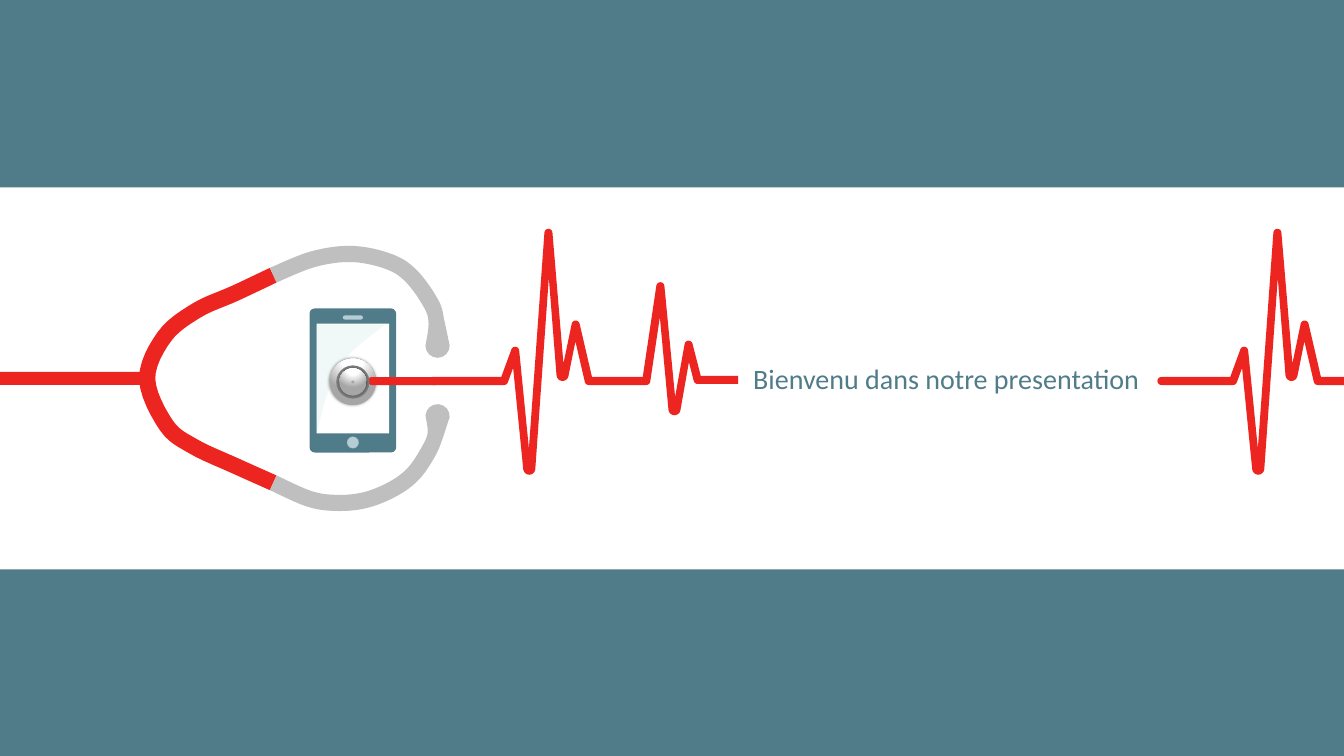
from itertools import pairwise
from math import atan2, ceil, cos, pi, remainder, sin, tau
from lxml import etree
from pptx import Presentation
from pptx.dml.color import RGBColor
from pptx.enum.shapes import MSO_SHAPE as SHAPE
from pptx.enum.text import MSO_ANCHOR, MSO_AUTO_SIZE, PP_ALIGN
from pptx.oxml import parse_xml
from pptx.oxml.ns import nsdecls, qn
from pptx.util import Inches, Pt

TEAL = RGBColor(0x50, 0x7C, 0x89)
PALE_TEAL = RGBColor(0xB5, 0xCD, 0xD4)
MID_TEAL = RGBColor(0x90, 0xB4, 0xBE)
MINT = RGBColor(0xBC, 0xE7, 0xDC)
RED = RGBColor(0xED, 0x25, 0x21)
SILVER = RGBColor(0xBF, 0xBF, 0xBF)
GREY = RGBColor(0x80, 0x80, 0x80)
LIGHT_GREY = RGBColor(0xA6, 0xA6, 0xA6)
WHITE = RGBColor(0xFF, 0xFF, 0xFF)

WELCOME = "Bienvenu dans notre presentation"
SLIDE_WIDTH, SLIDE_HEIGHT = 13.33, 7.5
BAND_HEIGHT = 1.86
BAND_TOPS = (0, 5.65)

BASELINE = 3.78
TRACE = 0.08
THIN = TRACE / 2
BLUNT = 0.06
BEAT_SHIFT = 7.23
TRACE_START = (4.29, BASELINE, THIN)
TALL_BEAT = [(5, BASELINE, THIN), (5.11, 3.48, THIN), (5.25, 4.65, BLUNT), (5.44, 2.31, THIN),
             (5.58, 3.72, BLUNT), (5.71, 3.22, THIN), (5.84, BASELINE, THIN)]
SHORT_BEAT = [(6.41, BASELINE, THIN), (6.55, 2.84, THIN), (6.69, 4.06, BLUNT),
              (6.83, 3.42, THIN), (6.92, 3.77, THIN)]
TRACE_END = (7.32, 3.77, THIN)
SECOND_TRACE_END = (13.35, BASELINE, THIN)
CORD = [(3.76, BASELINE, THIN), (4.32, BASELINE, THIN)]
CORD_END = [(3.69, BASELINE, THIN), (3.75, BASELINE, THIN)]

TUBE = 0.08
EAR_TIP = 0.12
UPPER_JOINT = (2.71, 2.73, TUBE)
LOWER_JOINT = (2.71, 4.79, TUBE)
RED_TUBE = [UPPER_JOINT, (2.33, 2.91, TUBE), (1.95, 3.08, TUBE), (1.63, 3.34, TUBE),
            (1.46, 3.76, TUBE), (1.65, 4.22, TUBE), (1.92, 4.43, TUBE), (2.33, 4.62, TUBE),
            LOWER_JOINT]
UPPER_EARPIECE = [(4.34, 3.43, EAR_TIP), (4.33, 3.2, TUBE), (4.28, 3.02, TUBE),
                  (4.09, 2.75, TUBE), (3.87, 2.6, TUBE), (3.5, 2.52, TUBE),
                  (3.11, 2.57, TUBE), UPPER_JOINT]
LOWER_EARPIECE = [(4.34, 4.13, EAR_TIP), (4.32, 4.31, TUBE), (4.25, 4.48, TUBE),
                  (4.1, 4.7, TUBE), (3.9, 4.85, TUBE), (3.63, 4.96, TUBE),
                  (3.35, 4.99, TUBE), (3.07, 4.95, TUBE), LOWER_JOINT]
GLARE_CORNER = (3.14, 3.22)
GLARE_CURVE = [(3.14, 4.3), (3.26, 3.87), (3.45, 3.53), (3.82, 3.22)]
PHONE_BUTTON = (3.5, 4.39)
CHESTPIECE = (3.5, 3.79)


def smooth(waypoints, steps=6):
    padded = [waypoints[0], *waypoints, waypoints[-1]]
    curve = []
    for before, start, end, after in zip(padded, padded[1:], padded[2:], padded[3:]):
        for step in range(steps):
            t = step / steps
            curve.append(tuple(
                b + (c - a) * t / 2 + (2 * a - 5 * b + 4 * c - d) * t**2 / 2
                + (3 * b - a - 3 * c + d) * t**3 / 2
                for a, b, c, d in zip(before, start, end, after)))
    return curve + [waypoints[-1]]


def ribbon_side(centerline, thickness, lead_turn, tail_turn):
    headings = [atan2(y2 - y1, x2 - x1) for (x1, y1, _), (x2, y2, _) in pairwise(centerline)]
    headings = [headings[0] - lead_turn, *headings, headings[-1] + tail_turn]
    side = []
    for (x, y, radius), (heading, next_heading) in zip(centerline, pairwise(headings)):
        turn = remainder(next_heading - heading, tau)
        if turn > 0:
            steps = ceil(turn / 0.4)
            angles, reach = [heading + turn * k / steps for k in range(steps + 1)], radius
        else:
            inner = thickness - radius if thickness else radius
            angles, reach = [heading + turn / 2], inner / cos(turn / 2)
        side += [(x + reach * sin(angle), y - reach * cos(angle)) for angle in angles]
    return side


def ribbon(centerline, thickness=None, round_start=True):
    cap = pi / 2 if round_start else 0
    return (ribbon_side(centerline, thickness, cap, 0)
            + ribbon_side(centerline[::-1], thickness, 0, cap))


def paint(shape, color):
    shape.shadow.inherit = False
    shape.fill.solid()
    shape.fill.fore_color.rgb = color
    shape.line.fill.background()
    return shape


def add_preset(shapes, kind, left, top, width, height, color):
    box = [Inches(length) for length in (left, top, width, height)]
    return paint(shapes.add_shape(kind, *box), color)


def add_disc(shapes, center, size, color):
    x, y = center
    return add_preset(shapes, SHAPE.OVAL, x - size / 2, y - size / 2, size, size, color)


def add_outline(shapes, color, *contours):
    builder = None
    for contour in contours:
        start, *rest = [(Inches(x), Inches(y)) for x, y in contour]
        if builder is None:
            builder = shapes.build_freeform(*start, scale=1.0)
        else:
            builder.move_to(*start)
        builder.add_line_segments(rest, close=True)
    return paint(builder.convert_to_shape(), color)


def make_metallic(disc):
    properties = disc.fill._xPr
    stops = "".join(f'<a:gs pos="{pos}"><a:srgbClr val="{color}"/></a:gs>'
                    for pos, color in ((0, WHITE), (35000, WHITE), (100000, LIGHT_GREY)))
    gradient = parse_xml(
        f'<a:gradFill {nsdecls("a")} rotWithShape="1"><a:gsLst>{stops}</a:gsLst>'
        '<a:path path="circle"><a:fillToRect l="50000" t="-80000" r="50000" b="180000"/>'
        '</a:path></a:gradFill>')
    properties.replace(properties.find(qn("a:solidFill")), gradient)
    shadow = etree.SubElement(properties.find(qn("a:effectLst")), qn("a:outerShdw"),
                              blurRad=str(Pt(2)), dist="0", dir="0", rotWithShape="0")
    tint = etree.SubElement(shadow, qn("a:srgbClr"), val="000000")
    etree.SubElement(tint, qn("a:alpha"), val="40000")


def add_phone(slide):
    phone = slide.shapes.add_group_shape().shapes
    body = add_preset(phone, SHAPE.ROUNDED_RECTANGLE, 3.07, 3.06, 0.86, 1.43, TEAL)
    body.adjustments[0] = 0.06
    add_preset(phone, SHAPE.RECTANGLE, 3.14, 3.21, 0.72, 1.09, WHITE)
    speaker = add_preset(phone, SHAPE.ROUNDED_RECTANGLE, 3.4, 3.13, 0.2, 0.04, PALE_TEAL)
    speaker.adjustments[0] = 0.5
    add_disc(phone, PHONE_BUTTON, 0.12, MID_TEAL)
    glare = add_outline(phone, MINT, [GLARE_CORNER, *smooth(GLARE_CURVE)])
    tint = glare.fill._xPr.find(qn("a:solidFill"))[0]
    etree.SubElement(tint, qn("a:alpha"), val="22000")
    add_disc(phone, PHONE_BUTTON, 0.11, PALE_TEAL)


def add_tubes(slide):
    tubes = slide.shapes.add_group_shape().shapes
    add_outline(tubes, RED, ribbon(smooth(RED_TUBE), round_start=False))
    add_outline(tubes, SILVER,
                *[ribbon(smooth(ear)) for ear in (LOWER_EARPIECE, UPPER_EARPIECE)])
    add_preset(tubes, SHAPE.RECTANGLE, -0.01, 3.69, 1.44, 0.13, RED)


def add_chestpiece(slide):
    chestpiece = slide.shapes.add_group_shape().shapes
    make_metallic(add_disc(chestpiece, CHESTPIECE, 0.46, SILVER))
    add_outline(chestpiece, RED, ribbon(CORD_END))
    add_disc(chestpiece, CHESTPIECE, 0.33, GREY)
    make_metallic(add_disc(chestpiece, CHESTPIECE, 0.27, SILVER))
    add_disc(chestpiece, CHESTPIECE, 0.03, LIGHT_GREY)


def add_welcome(slide):
    welcome = slide.shapes.add_textbox(Inches(6.65), Inches(3.53), Inches(5.47), Inches(0.44))
    frame = welcome.text_frame
    frame.word_wrap = True
    frame.auto_size = MSO_AUTO_SIZE.SHAPE_TO_FIT_TEXT
    frame.vertical_anchor = MSO_ANCHOR.MIDDLE
    frame.paragraphs[0].alignment = PP_ALIGN.CENTER
    run = frame.paragraphs[0].add_run()
    run.text = WELCOME
    run.font.name, run.font.size = "Calibri", Pt(20)
    run.font.color.rgb = TEAL


def main():
    deck = Presentation()
    deck.slide_width, deck.slide_height = Inches(SLIDE_WIDTH), Inches(SLIDE_HEIGHT)
    slide = deck.slides.add_slide(deck.slide_layouts[6])
    for top in BAND_TOPS:
        add_preset(slide.shapes, SHAPE.RECTANGLE, 0, top, SLIDE_WIDTH, BAND_HEIGHT, TEAL)
    add_phone(slide)
    add_outline(slide.shapes, RED, ribbon(CORD))
    add_tubes(slide)
    opening = [TRACE_START, *TALL_BEAT]
    first_trace = [*opening, *SHORT_BEAT, TRACE_END]
    second_trace = [(x + BEAT_SHIFT, y, radius) for x, y, radius in opening] + [SECOND_TRACE_END]
    add_outline(slide.shapes, RED, ribbon(first_trace, TRACE))
    add_welcome(slide)
    add_outline(slide.shapes, RED, ribbon(second_trace, TRACE))
    add_chestpiece(slide)
    deck.save("out.pptx")


if __name__ == "__main__":
    main()
